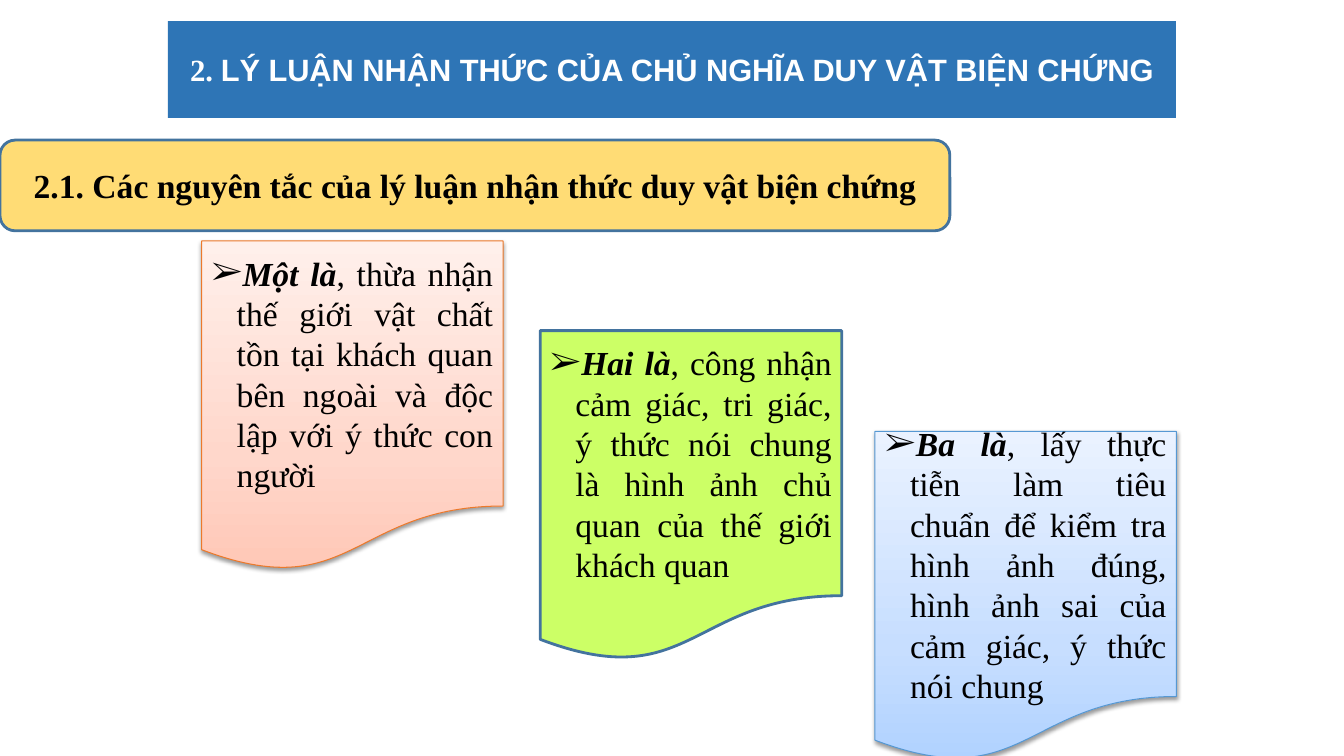
from copy import deepcopy

from lxml.etree import SubElement
from pptx import Presentation
from pptx.dml.color import RGBColor
from pptx.enum.shapes import MSO_SHAPE
from pptx.enum.text import MSO_ANCHOR, MSO_AUTO_SIZE, PP_ALIGN
from pptx.oxml.ns import qn
from pptx.util import Inches, Pt

WIDTH, HEIGHT = 13.33, 7.5
COLS, ROWS = 40, 75
SERIF, SANS = "Times New Roman", "Arial"
BLACK, WHITE, EDGE = "000000", "FFFFFF", "43739E"


def color(code):
    return RGBColor.from_string(code)


def node(parent, tag, **attrs):
    return SubElement(parent, qn(tag), {k: str(v) for k, v in attrs.items()})


class Board:
    """Draws on one slide; places are (column, row, columns, rows)."""

    def __init__(self, deck):
        self.slide = deck.slides.add_slide(deck.slide_layouts[5])

    def place(self, grid):
        col, row, wide, high = grid
        across, down = WIDTH / COLS, HEIGHT / ROWS
        return [Inches(n) for n in
                (col * across, row * down, wide * across, high * down)]

    def label(self, shape, runs, align, size=24, ink=BLACK):
        """Each run is (text, font, bold, italic)."""
        frame = shape.text_frame
        frame.word_wrap = True
        frame.auto_size = MSO_AUTO_SIZE.NONE
        frame.vertical_anchor = MSO_ANCHOR.MIDDLE
        line = frame.paragraphs[0]
        line.alignment = align
        for text, face, bold, slant in runs:
            run = line.add_run()
            run.text = text
            font = run.font
            font.name, font.size = face, Pt(size)
            font.bold, font.italic = bold, slant
            font.color.rgb = color(ink)
        return line

    def title(self, grid, runs, fill):
        shape = self.slide.shapes.title
        shape.left, shape.top, shape.width, shape.height = self.place(grid)
        shape.fill.solid()
        shape.fill.fore_color.rgb = color(fill)
        self.label(shape, runs, PP_ALIGN.CENTER, 22, WHITE)

    def box(self, kind, grid, fill, edge, weight):
        """A list as fill makes a gradient that rises from the bottom."""
        shape = self.slide.shapes.add_shape(kind, *self.place(grid))
        shape.shadow.inherit = False
        shape.line.color.rgb = color(edge)
        shape.line.width = Pt(weight)
        if isinstance(fill, list):
            self.blend(shape, fill)
            self.shade(shape)
        else:
            shape.fill.solid()
            shape.fill.fore_color.rgb = color(fill)
        return shape

    def blend(self, shape, codes):
        shape.fill.gradient()
        shape.fill.gradient_angle = 90
        stops = shape.element.spPr.find(".//" + qn("a:gsLst"))
        stops.append(deepcopy(stops[0]))
        for stop, spot, code in zip(shape.fill.gradient_stops, (0, 0.35, 1), codes):
            stop.position = spot
            stop.color.rgb = color(code)

    def shade(self, shape):
        effects = shape.element.spPr.find(qn("a:effectLst"))
        cast = node(effects, "a:outerShdw", blurRad=Pt(3.1), dist=Pt(1.6),
                    dir=90 * 60000, rotWithShape=0)
        node(node(cast, "a:srgbClr", val=BLACK), "a:alpha", val=38000)

    def banner(self, grid, text, fill):
        shape = self.box(MSO_SHAPE.ROUNDED_RECTANGLE, grid, fill, EDGE, 2)
        tint = shape.element.spPr.find(qn("a:solidFill"))[0]
        node(tint, "a:alpha", val=90000)
        self.label(shape, [(text, SERIF, True, False)], PP_ALIGN.CENTER)

    def note(self, col, row, lead, text, fill, edge, weight):
        shape = self.box(MSO_SHAPE.FLOWCHART_DOCUMENT, (col, row, 8.97, 32.8),
                         fill, edge, weight)
        runs = [(lead, SERIF, True, True), (text, SERIF, False, False)]
        line = self.label(shape, runs, PP_ALIGN.JUSTIFY)
        props = line._p.get_or_add_pPr()
        props.set("marL", str(Inches(0.25)))
        props.set("indent", str(-Inches(0.25)))
        node(node(props, "a:buClr"), "a:srgbClr", val=BLACK)
        node(props, "a:buFont", typeface=SERIF)
        node(props, "a:buChar", char="➢")


NOTES = [
    (6, 23.9, "Một là",
     ", thừa nhận thế giới vật chất tồn tại khách quan bên ngoài và độc lập "
     "với ý thức con người",
     ["FFC7B6", "FFD7CB", "FFF0EB"], "EC792B", 0.75),
    (16.08, 32.8, "Hai là",
     ", công nhận cảm giác, tri giác, ý thức nói chung là hình ảnh chủ quan "
     "của thế giới khách quan",
     "CCFF66", EDGE, 2),
    (26.04, 42.8, "Ba là",
     ", lấy thực tiễn làm tiêu chuẩn để kiểm tra hình ảnh đúng, hình ảnh sai "
     "của cảm giác, ý thức nói chung",
     ["B0D2FF", "C7DEFF", "EAF2FF"], "5698D3", 0.75),
]


def main():
    deck = Presentation()
    deck.slide_width, deck.slide_height = Inches(WIDTH), Inches(HEIGHT)
    board = Board(deck)
    board.title((5, 2.1, 30, 9.6), [
        ("2. ", SERIF, True, False),
        ("LÝ LUẬN NHẬN THỨC CỦA CHỦ NGHĨA DUY VẬT BIỆN CHỨNG", SANS, True, False),
    ], "2E75B6")
    for note in NOTES:
        board.note(*note)
    board.banner((0, 13.9, 28.27, 9),
                 "2.1. Các nguyên tắc của lý luận nhận thức duy vật biện chứng",
                 "FFD966")
    deck.save("out.pptx")


if __name__ == "__main__":
    main()
